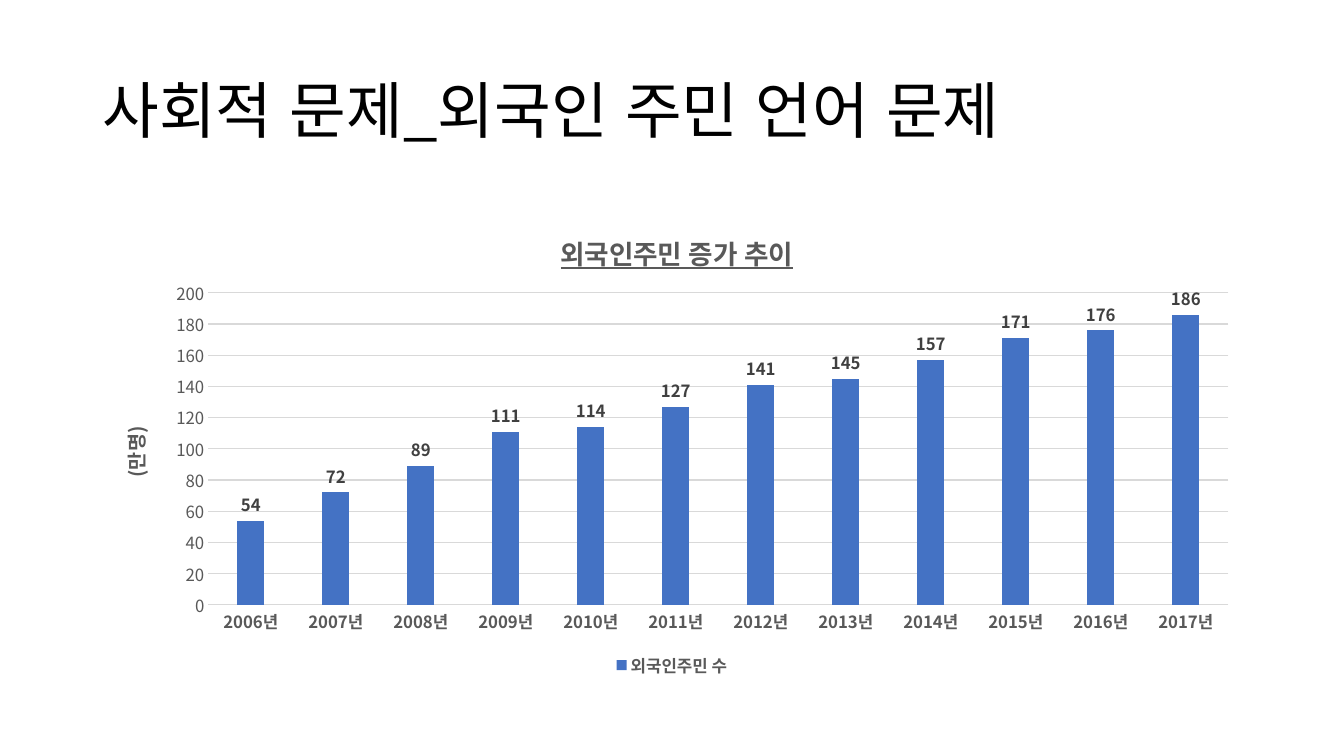
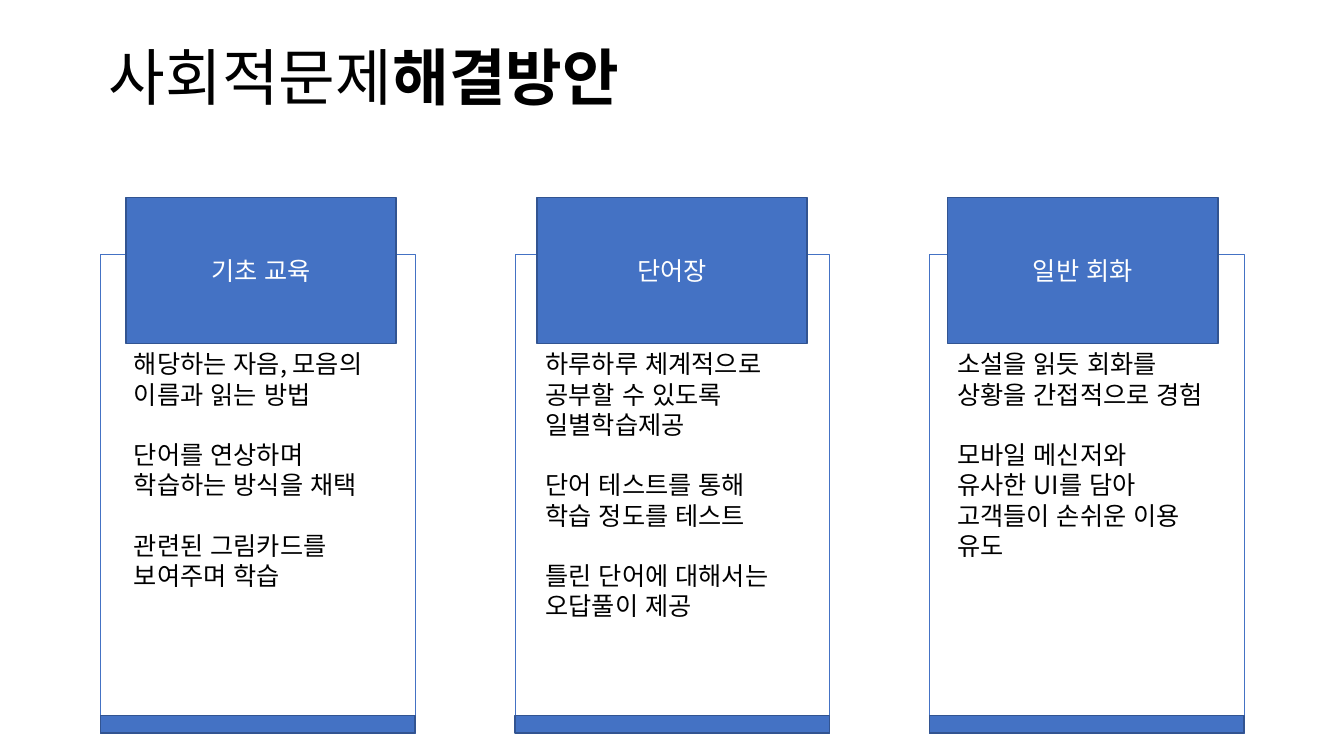
from copy import deepcopy

from lxml.etree import SubElement
from pptx import Presentation
from pptx.chart.data import CategoryChartData
from pptx.dml.color import RGBColor
from pptx.enum.chart import XL_CHART_TYPE, XL_LABEL_POSITION, XL_LEGEND_POSITION, XL_TICK_MARK
from pptx.enum.lang import MSO_LANGUAGE_ID
from pptx.enum.shapes import MSO_SHAPE
from pptx.enum.text import MSO_ANCHOR, MSO_AUTO_SIZE, PP_ALIGN
from pptx.oxml.ns import qn
from pptx.util import Pt

FONT = "Noto Sans CJK KR"
BLUE = RGBColor(0x44, 0x72, 0xC4)
NAVY = RGBColor(0x32, 0x54, 0x91)
BLACK = RGBColor(0, 0, 0)
WHITE = RGBColor(0xFF, 0xFF, 0xFF)
GRAY = RGBColor(0x59, 0x59, 0x59)
DARK = RGBColor(0x40, 0x40, 0x40)
PALE = RGBColor(0xD9, 0xD9, 0xD9)

COUNTS = [54, 72, 89, 111, 114, 127, 141, 145, 157, 171, 176, 186]
CARDS = [
    ("기초 교육", [
        "해당하는 자음, 모음의 이름과 읽는 방법",
        "단어를 연상하며 학습하는 방식을 채택",
        "관련된 그림카드를 보여주며 학습",
    ]),
    ("단어장", [
        "하루하루 체계적으로 공부할 수 있도록 일별학습제공",
        "단어 테스트를 통해 학습 정도를 테스트",
        "틀린 단어에 대해서는 오답풀이 제공",
    ]),
    ("일반 회화", [
        "소설을 읽듯 회화를 상황을 간접적으로 경험",
        "모바일 메신저와\n유사한 UI를 담아 고객들이 손쉬운 이용 유도",
    ]),
]


def style(font, size=18, color=BLACK, bold=False, line=False):
    font.name = FONT
    font.size = Pt(size)
    font.bold = bold
    font.underline = line
    font.color.rgb = color


def write(par, text, **form):
    for num, part in enumerate(text.split("\n")):
        if num:
            par.add_line_break()
        run = par.add_run()
        run.text = part
        run.font.language_id = MSO_LANGUAGE_ID.KOREAN
        style(run.font, **form)


def set_asian(root):
    for latin in list(root.iter(qn("a:latin"))):
        east = deepcopy(latin)
        east.tag = qn("a:ea")
        latin.addnext(east)


def add_title(slide, left, top, *parts):
    title = slide.shapes.title
    title.left, title.top = Pt(left), Pt(top)
    title.width, title.height = Pt(828), Pt(104.4)
    frame = title.text_frame
    frame.auto_size = MSO_AUTO_SIZE.NONE
    frame.vertical_anchor = MSO_ANCHOR.MIDDLE
    par = frame.paragraphs[0]
    par.alignment = PP_ALIGN.LEFT
    par.line_spacing = 0.9
    for text, bold in parts:
        write(par, text, size=44, bold=bold)


def place(node, **spots):
    layout = node.find(qn("c:layout"))
    if layout is None:
        layout = SubElement(node, qn("c:layout"))
        node.insert(0, layout)
    manual = SubElement(layout, qn("c:manualLayout"))
    if "w" in spots:
        SubElement(manual, qn("c:layoutTarget")).set("val", "inner")
    for key in ("x", "y"):
        SubElement(manual, qn(f"c:{key}Mode")).set("val", "edge")
    for key, value in spots.items():
        SubElement(manual, qn(f"c:{key}")).set("val", str(value))


def name_part(title, text, x, y, **form):
    write(title.text_frame.paragraphs[0], text, color=GRAY, bold=True, **form)
    place(title._element, x=x, y=y)


def set_line(line, color, width):
    line.color.rgb = color
    line.width = Pt(width)


def add_bars(slide):
    data = CategoryChartData()
    data.categories = [f"{year}년" for year in range(2006, 2018)]
    data.add_series("외국인주민 수", COUNTS)
    chart = slide.shapes.add_chart(
        XL_CHART_TYPE.COLUMN_CLUSTERED, Pt(66), Pt(144), Pt(828), Pt(343), data
    ).chart
    style(chart.font, size=10)
    name_part(chart.chart_title, "외국인주민 증가 추이", 0.4, 0.05, size=19, line=True)

    plot = chart.plots[0]
    plot.vary_by_categories = False
    plot.gap_width, plot.overlap = 219, -27
    fill = plot.series[0].format.fill
    fill.solid()
    fill.fore_color.rgb = BLUE
    plot.has_data_labels = True
    labels = plot.data_labels
    labels.show_value = True
    labels.position = XL_LABEL_POSITION.OUTSIDE_END
    style(labels.font, size=12, color=DARK, bold=True)

    years, scale = chart.category_axis, chart.value_axis
    for axis, bold in ((years, True), (scale, False)):
        axis.major_tick_mark = axis.minor_tick_mark = XL_TICK_MARK.NONE
        style(axis.tick_labels.font, size=12, color=GRAY, bold=bold)
    set_line(years.format.line, PALE, 0.75)
    scale.format.line.fill.background()
    set_line(scale.major_gridlines.format.line, PALE, 0.75)
    scale.minimum_scale, scale.maximum_scale, scale.major_unit = 0, 200, 20
    name_part(scale.axis_title, "(만명)", 0.02, 0.46, size=14)

    chart.has_legend = True
    chart.legend.position = XL_LEGEND_POSITION.BOTTOM
    chart.legend.include_in_layout = False
    style(chart.legend.font, size=12, color=GRAY, bold=True)
    space = chart._chartSpace
    place(space.find(".//" + qn("c:plotArea")), x=0.1, y=0.19, w=0.88, h=0.65)
    set_asian(space)


def add_rect(group, left, top, width, height, fill=BLUE, edge=NAVY, thick=1):
    rect = group.shapes.add_shape(
        MSO_SHAPE.RECTANGLE, Pt(left), Pt(top), Pt(width), Pt(height)
    )
    rect.shadow.inherit = False
    if fill is None:
        rect.fill.background()
    else:
        rect.fill.solid()
        rect.fill.fore_color.rgb = fill
    set_line(rect.line, edge, thick)
    return rect


def add_notes(slide, left, items):
    box = slide.shapes.add_textbox(Pt(left), Pt(245.5), Pt(193), Pt(182))
    frame = box.text_frame
    frame.word_wrap = True
    for num, text in enumerate(items):
        par = frame.add_paragraph() if num else frame.paragraphs[0]
        par.line_spacing = Pt(21.6)
        par.space_before = Pt(21.6 if num else 0)
        write(par, text)


def add_card(slide, num, head, items):
    left = 72 + 296 * num
    inner = 90 + 293.5 * num
    group = slide.shapes.add_group_shape()
    add_rect(group, left, 182, 224.6, 342, fill=None, edge=BLUE, thick=0.5)
    add_rect(group, left, 511, 224.6, 12.6)
    label = add_rect(group, inner, 141, 193, 104.4)
    frame = label.text_frame
    frame.vertical_anchor = MSO_ANCHOR.MIDDLE
    par = frame.paragraphs[0]
    par.alignment = PP_ALIGN.CENTER
    write(par, head, color=WHITE)
    add_notes(slide, 88.6 + 294 * num, items)


def main():
    deck = Presentation()
    deck.slide_width, deck.slide_height = Pt(960), Pt(540)
    layout = deck.slide_layouts[5]

    trend = deck.slides.add_slide(layout)
    add_title(trend, 66, 28.8, ("사회적 문제_외국인 주민 언어 문제", False))
    add_bars(trend)

    plan = deck.slides.add_slide(layout)
    add_title(plan, 70.5, 5, ("사회적문제", False), ("해결방안", True))
    for num, (head, items) in enumerate(CARDS):
        add_card(plan, num, head, items)

    for slide in deck.slides:
        set_asian(slide._element)
    deck.save("out.pptx")


if __name__ == "__main__":
    main()
